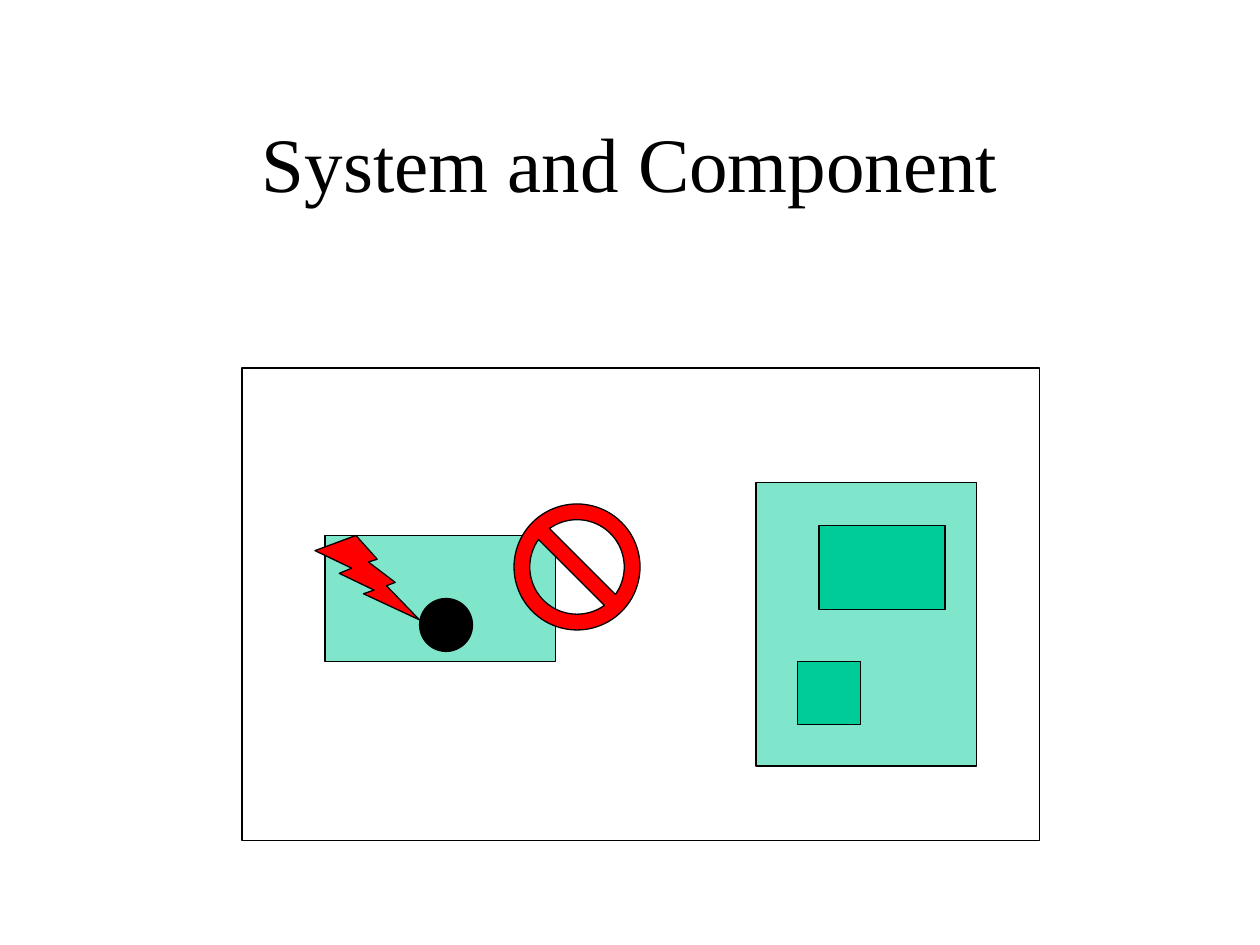
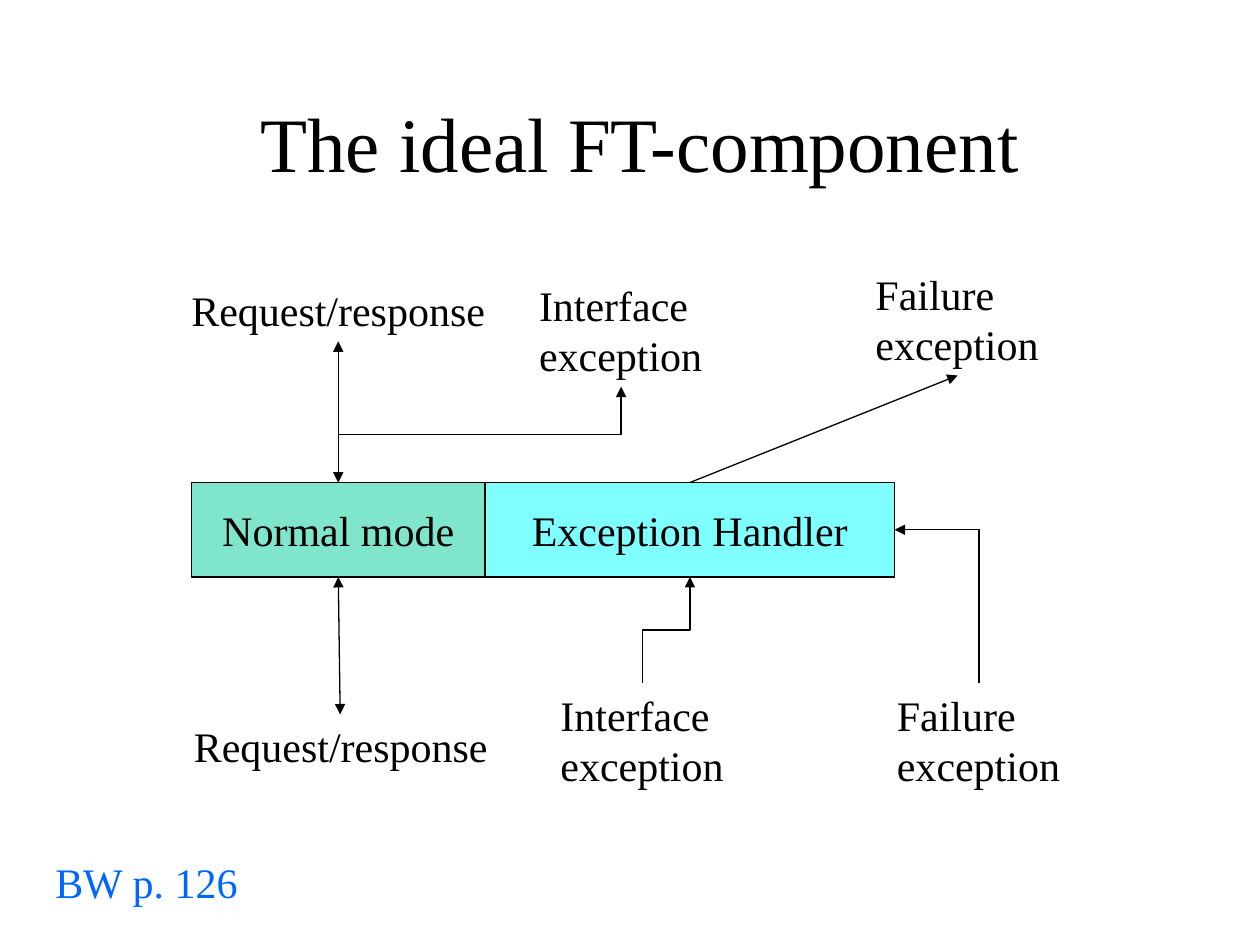
from lxml.etree import SubElement
from pptx import Presentation
from pptx.dml.color import RGBColor
from pptx.enum.shapes import MSO_CONNECTOR as Link, MSO_SHAPE as Preset
from pptx.enum.text import MSO_ANCHOR as Anchor, MSO_AUTO_SIZE as AutoSize, PP_ALIGN as Align
from pptx.oxml.ns import qn
from pptx.util import Inches, Pt

COLORS = {"ink": "000000", "green": "00CC99", "cyan": "00FFFF",
          "red": "FF0000", "reference": "0066FF"}
FONT = "Times New Roman"
LINE_WIDTH = Pt(0.75)


def rgb(name):
    """Return the named colour."""
    return RGBColor.from_string(COLORS[name])


def write(frame, text, size=24, color="ink", align=Align.LEFT, anchor=Anchor.TOP, wrap=False):
    """Fill a text frame, one paragraph for each line."""
    frame.word_wrap = wrap
    frame.vertical_anchor = anchor
    frame.text = text
    for paragraph in frame.paragraphs:
        paragraph.alignment = align
        for run in paragraph.runs:
            run.font.name = FONT
            run.font.size = Pt(size)
            run.font.color.rgb = rgb(color)


def add_title(slide, left, top, text):
    """Add the large centred slide title."""
    title = slide.shapes.add_textbox(Inches(left), Inches(top), Inches(8.5), Inches(1.25))
    write(title.text_frame, text, 44, align=Align.CENTER, anchor=Anchor.MIDDLE, wrap=True)


def add_label(slide, left, top, width, height, text, color="ink"):
    """Add an unwrapped label that fits its text."""
    label = slide.shapes.add_textbox(Inches(left), Inches(top), Inches(width), Inches(height))
    write(label.text_frame, text, color=color)
    label.text_frame.auto_size = AutoSize.SHAPE_TO_FIT_TEXT


def add_part(shapes, preset, left, top, width, height, fill=None, opacity=100):
    """Add an outlined preset shape, filled if a colour is given."""
    part = shapes.add_shape(preset, Inches(left), Inches(top), Inches(width), Inches(height))
    part.shadow.inherit = False
    part.line.color.rgb = rgb("ink")
    part.line.width = LINE_WIDTH
    if fill is None:
        part.fill.background()
        return part
    part.fill.solid()
    part.fill.fore_color.rgb = rgb(fill)
    if opacity < 100:
        color = part._element.spPr.find(qn("a:solidFill"))[0]
        SubElement(color, qn("a:alpha"), val=str(opacity * 1000))
    return part


def finish_arrow(arrow, both_ends=False):
    """Style a connector and give it triangular heads."""
    arrow.line.color.rgb = rgb("ink")
    arrow.line.width = LINE_WIDTH
    outline = arrow.line._get_or_add_ln()
    for end in ("headEnd", "tailEnd") if both_ends else ("tailEnd",):
        SubElement(outline, qn("a:" + end), type="triangle")
    SubElement(arrow._element.spPr, qn("a:effectLst"))


def add_arrow(slide, start, end, both_ends=False):
    """Add a straight arrow between two points."""
    arrow = slide.shapes.add_connector(Link.STRAIGHT, *map(Inches, start + end))
    finish_arrow(arrow, both_ends)


def add_rising_elbow(slide, start, end, preset, rotation, flips):
    """Add a bent arrow that leaves its start point vertically."""
    center_x, center_y = ((a + b) / 2 for a, b in zip(start, end))
    half_width, half_height = abs(end[1] - start[1]) / 2, abs(end[0] - start[0]) / 2
    corners = (center_x - half_width, center_y - half_height,
               center_x + half_width, center_y + half_height)
    arrow = slide.shapes.add_connector(Link.ELBOW, *map(Inches, corners))
    properties = arrow._element.spPr
    properties.find(qn("a:prstGeom")).set("prst", preset)
    transform = properties.find(qn("a:xfrm"))
    transform.set("rot", str(rotation * 60000))
    for flip in flips:
        transform.set(flip, "1")
    finish_arrow(arrow)


def add_faulty_component(slide, left, top):
    """Draw the component struck by a fault that must not spread."""
    shapes = slide.shapes
    add_part(shapes, Preset.LIGHTNING_BOLT, left - 0.08, top, 0.83, 0.67, "red")
    add_part(shapes, Preset.OVAL, left + 0.75, top + 0.5, 0.42, 0.42, "ink")
    barrier = add_part(shapes, Preset.NO_SYMBOL, left + 1.5, top - 0.25, 1, 1, "red")
    barrier.adjustments[0] = 0.125


def add_subcomponents(slide, left, top):
    """Draw the grouped parts inside the sound component."""
    group = slide.shapes.add_group_shape().shapes
    add_part(group, Preset.RECTANGLE, left + 0.5, top + 0.34, 1, 0.67, "green")
    add_part(group, Preset.RECTANGLE, left + 0.33, top + 1.42, 0.5, 0.5, "green")


def build_system_slide(slide, left=1.92, top=2.92):
    """Show two components inside a system boundary."""
    add_title(slide, 0.75, 0.66, "System and Component")
    faulty = (left + 0.66, top + 1.33)
    sound = (left + 4.08, top + 0.91)
    add_part(slide.shapes, Preset.RECTANGLE, left, top, 6.33, 3.75)
    add_part(slide.shapes, Preset.RECTANGLE, *faulty, 1.83, 1, "green", 50)
    add_part(slide.shapes, Preset.RECTANGLE, *sound, 1.75, 2.25, "green", 50)
    add_faulty_component(slide, *faulty)
    add_subcomponents(slide, *sound)


def add_modes(slide, left, top, normal_width, handler_width, height):
    """Draw the two adjoining modes of the component."""
    modes = (("Exception Handler", left + normal_width, handler_width, "cyan"),
             ("Normal mode", left, normal_width, "green"))
    for name, mode_left, width, fill in modes:
        mode = add_part(slide.shapes, Preset.RECTANGLE, mode_left, top, width, height, fill, 50)
        write(mode.text_frame, name, align=Align.CENTER, anchor=Anchor.MIDDLE)


def add_signals(slide, left, top, normal_width, handler_width, height):
    """Draw the labelled signals above and below the modes."""
    right = left + normal_width + handler_width
    bottom = top + height
    normal_x = left + normal_width / 2
    handler_x = right - handler_width / 2
    for label_left, label_top in ((1.42, 2.21), (1.44, 5.67)):
        add_label(slide, label_left, label_top, 2.53, 0.5, "Request/response")
    for kind, label_left, label_top in (("Interface", 4.18, 2.17), ("Interface", 4.35, 5.42),
                                        ("Failure", 6.85, 2.08), ("Failure", 7.02, 5.42)):
        add_label(slide, label_left, label_top, 1.5, 0.9, f"{kind}\nexception")
    add_arrow(slide, (normal_x, 2.71), (normal_x, top), True)
    add_arrow(slide, (normal_x, bottom), (2.7, 5.67), True)
    add_arrow(slide, (handler_x, top), (7.6, 2.98))
    both_flips = ("flipH", "flipV")
    add_rising_elbow(slide, (normal_x, top), (4.93, 3.07), "bentConnector3", 90, both_flips)
    add_rising_elbow(slide, (5.1, 5.42), (handler_x, bottom), "bentConnector3", 90, both_flips)
    add_rising_elbow(slide, (7.77, 5.42), (right, top + height / 2),
                     "bentConnector2", 270, ("flipV",))


def build_ideal_component_slide(slide):
    """Show the modes of the ideal component and its signals."""
    add_title(slide, 0.83, 0.5, "The ideal FT-component")
    component = (1.52, 3.83, 2.33, 3.25, 0.75)
    add_modes(slide, *component)
    add_signals(slide, *component)
    add_label(slide, 0.34, 6.75, 1.65, 0.5, "BW p. 126", "reference")


def main():
    """Build and save the presentation."""
    deck = Presentation()
    deck.slide_width, deck.slide_height = Inches(10), Inches(7.5)
    for build in (build_system_slide, build_ideal_component_slide):
        build(deck.slides.add_slide(deck.slide_layouts[6]))
    deck.save("out.pptx")


if __name__ == "__main__":
    main()
